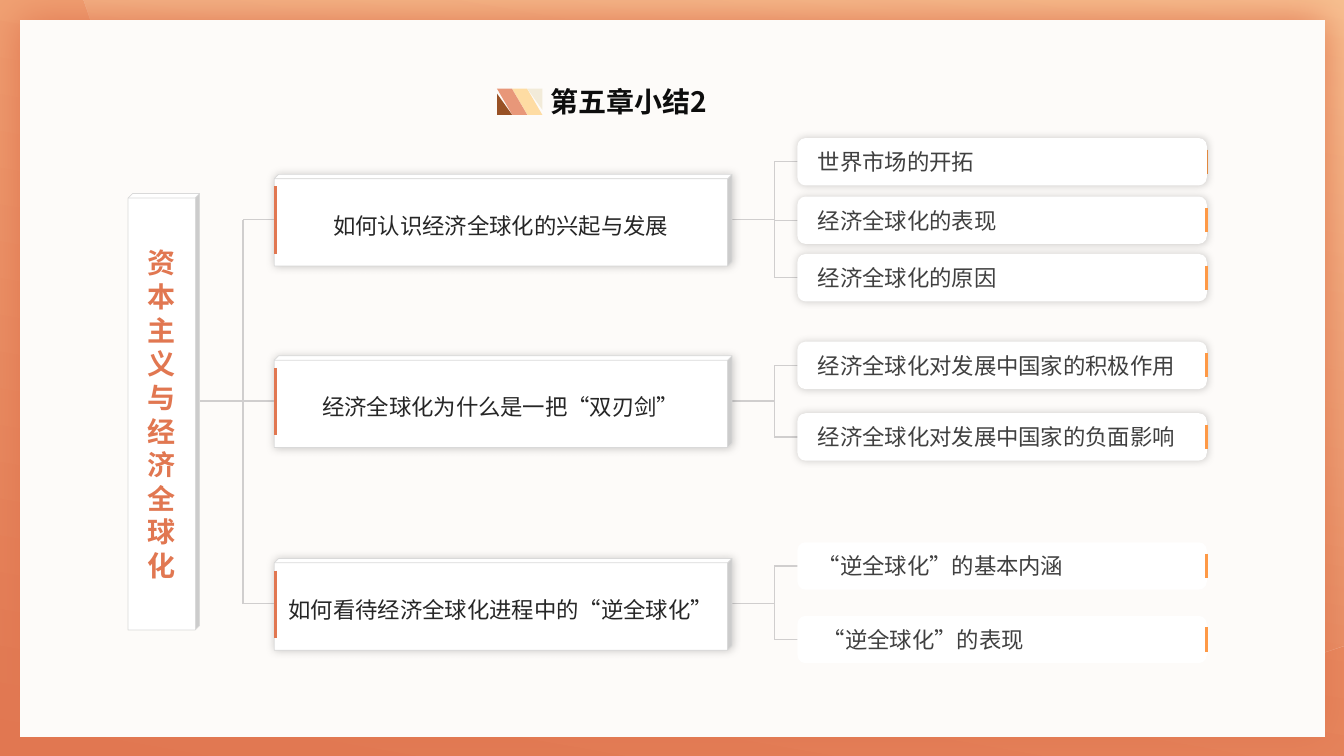
from lxml import etree
from pptx import Presentation
from pptx.dml.color import RGBColor
from pptx.enum.lang import MSO_LANGUAGE_ID as Lang
from pptx.enum.shapes import MSO_CONNECTOR as Conn, MSO_SHAPE as Geo
from pptx.enum.text import MSO_ANCHOR as Anchor, MSO_AUTO_SIZE as Fit, PP_ALIGN as Align
from pptx.oxml.ns import qn
from pptx.util import Inches, Pt

FONT = "Noto Sans CJK SC"
CORAL = RGBColor(0xE1, 0x77, 0x51)
PEACH = RGBColor(0xF4, 0xAD, 0x7D)
SAND = RGBColor(0xFD, 0xD5, 0xA6)
PAPER = RGBColor(0xFD, 0xFB, 0xF9)
WHITE = RGBColor(0xFF, 0xFF, 0xFF)
BLACK = RGBColor(0, 0, 0)
INK = RGBColor(0x0D, 0x0D, 0x0D)
DARK = RGBColor(0x26, 0x26, 0x26)
GREY = RGBColor(0x40, 0x40, 0x40)
EDGE = RGBColor(0xD9, 0xD9, 0xD9)
RULE = RGBColor(0xD0, 0xCE, 0xCE)
ORANGE = RGBColor(0xFE, 0x99, 0x46)
CREAM = RGBColor(0xF2, 0xEB, 0xD9)
YELLOW = RGBColor(0xFE, 0xDC, 0xA3)
SALMON = RGBColor(0xE8, 0x97, 0x79)
BROWN = RGBColor(0x98, 0x51, 0x25)

# All lengths are in grid cells, ten columns or rows to the inch
COLS, ROWS = 133.3, 75
SPINE_X, TREE_X, CUBE_X, CUBE_W, CUBE_H = 24.1, 76.8, 27.2, 45.4, 9.1
LEAF_X, LEAF_W, LEAF_H = 79.1, 40.6, 4.7

# Each branch: cube row, text, leaves as (row, text, options)
BRANCHES = [
    (17.3, "如何认识经济全球化的兴起与发展", [
        (13.7, "世界市场的开拓", {"tick_behind": True}),
        (19.5, "经济全球化的表现", {}),
        (25.2, "经济全球化的原因", {})]),
    (35.3, "经济全球化为什么是一把“双刃剑”", [
        (33.9, "经济全球化对发展中国家的积极作用", {}),
        (41, "经济全球化对发展中国家的负面影响", {})]),
    (55.4, "如何看待经济全球化进程中的“逆全球化”", [
        (53.8, "“逆全球化”的基本内涵", {"shadow": False}),
        (61.1, "“逆全球化”的表现", {"shadow": False, "indent": 1.3})]),
]


def cell(n):
    return int(n * Inches(0.1))


def cubic(p0, p1, p2, p3, steps=24):
    """Points along a cubic curve, without its start."""
    for i in range(1, steps + 1):
        t = i / steps
        w = ((1 - t) ** 3, 3 * t * (1 - t) ** 2, 3 * t * t * (1 - t), t ** 3)
        yield tuple(sum(k * p[axis] for k, p in zip(w, (p0, p1, p2, p3))) for axis in (0, 1))


class Board:
    """Holds the current slide and draws in its style."""

    def __init__(self, slide):
        self.slide, self.shapes = slide, slide.shapes

    def shape(self, geo, x, y, w, h, fill, line=None, adj=None, flip=False, rotation=0):
        sp = self.shapes.add_shape(geo, *map(cell, (x, y, w, h)))
        sp.shadow.inherit = False
        sp.fill.solid()
        sp.fill.fore_color.rgb = fill
        sp.rotation = rotation
        if adj:
            sp.adjustments[0] = adj
        if flip:
            sp._element.spPr.find(qn("a:xfrm")).set("flipH", "1")
        if line:
            sp.line.color.rgb, sp.line.width = line, Pt(0.5)
        else:
            sp.line.fill.background()
        return sp

    def gradient(self, sp, start, end, end_alpha=100):
        sp.shadow.inherit = False
        sp.line.fill.background()
        sp.fill.gradient()
        sp.fill.gradient_angle = 80
        for stop, color in zip(sp.fill.gradient_stops, (start, end)):
            stop.color.rgb = color
        last = list(sp._element.spPr.iter(qn("a:srgbClr")))[-1]
        etree.SubElement(last, qn("a:alpha")).set("val", str(end_alpha * 1000))

    def glow(self, sp, color=BLACK, alpha=20, blur=6):
        effects = sp._element.spPr.find(qn("a:effectLst"))
        shadow = etree.SubElement(effects, qn("a:outerShdw"), blurRad=str(Pt(blur)),
                                  dist="0", algn="ctr", rotWithShape="0")
        clr = etree.SubElement(shadow, qn("a:srgbClr"), val=str(color))
        etree.SubElement(clr, qn("a:alpha"), val=str(alpha * 1000))

    def line(self, x1, y1, x2, y2, color=RULE, width=1):
        ln = self.shapes.add_connector(Conn.STRAIGHT, *map(cell, (x1, y1, x2, y2)))
        ln.line.color.rgb, ln.line.width = color, Pt(width)
        etree.SubElement(ln._element.spPr, qn("a:effectLst"))

    def text(self, sp, lines, size, color, bold=False, indent=0, **para):
        tf = sp.text_frame
        tf.word_wrap = True
        for i, line in enumerate(lines):
            p = tf.paragraphs[0] if i == 0 else tf.add_paragraph()
            for name, value in {"alignment": Align.LEFT, "space_before": Pt(0), **para}.items():
                setattr(p, name, value)
            if indent:
                p._p.get_or_add_pPr().set("marL", str(cell(indent)))
            r = p.add_run()
            r.text = line
            fmt = {"name": FONT, "size": Pt(size), "bold": bold,
                   "language_id": Lang.SIMPLIFIED_CHINESE}
            for name, value in fmt.items():
                setattr(r.font, name, value)
            r.font.color.rgb = color
            etree.SubElement(r._r.get_or_add_rPr(), qn("a:ea"), typeface=FONT)

    def title(self, text, x, y, w, h):
        sp = self.shapes.title
        sp.left, sp.top, sp.width, sp.height = map(cell, (x, y, w, h))
        sp.text_frame.auto_size = Fit.NONE
        sp.text_frame.vertical_anchor = Anchor.TOP
        self.text(sp, [text], 20, INK, bold=True, line_spacing=Pt(24))
        self.shapes._spTree.append(sp._element)  # bring in front of the backdrop

    def backdrop(self):
        self.gradient(self.shape(Geo.RECTANGLE, 0, 0, COLS, ROWS, CORAL), CORAL, PEACH)
        arc = [(131.5, 64.6), *cubic((131.5, 64.6), (122.2, 67.5), (112.4, 69), (102.2, 69)),
               *cubic((102.2, 69), (59.7, 69), (23.6, 42.1), (9.8, 4.4))]
        pen = self.shapes.build_freeform(cell(8.3), 0)
        pen.add_line_segments([(cell(x), cell(y)) for x, y in [(COLS, 0), (COLS, 64), *arc]])
        self.gradient(pen.convert_to_shape(), CORAL, SAND, 50)
        self.glow(self.shape(Geo.RECTANGLE, 2, 2, 129.4, 71.1, PAPER), CORAL, 100, 30)

    def emblem(self, x, y):
        half = {"w": 3, "h": 2.6, "adj": 0.585, "flip": True}
        self.shape(Geo.PARALLELOGRAM, x + 1.5, y, fill=YELLOW, **half)
        self.shape(Geo.RIGHT_TRIANGLE, x + 3, y, 1.5, 2.1, CREAM, rotation=180)
        self.shape(Geo.PARALLELOGRAM, x, y, fill=SALMON, **half)
        self.shape(Geo.RIGHT_TRIANGLE, x, y + 0.5, 1.5, 2.1, BROWN)

    def leaf(self, y, text, tick_behind=False, shadow=True, indent=0.8):
        def tick():
            right = LEAF_X + LEAF_W
            self.line(right, y + 1.15, right, y + LEAF_H - 1.15, ORANGE, 2)

        if tick_behind:
            tick()
        sp = self.shape(Geo.ROUNDED_RECTANGLE, LEAF_X, y, LEAF_W, LEAF_H, WHITE)
        if shadow:
            self.glow(sp)
        self.text(sp, [text], 16, GREY, indent=indent)
        if not tick_behind:
            tick()

    def branch(self, y, text, leaves):
        mid = y + 4.5
        rows = [row + LEAF_H / 2 for row, *_ in leaves]
        # Connectors
        self.line(SPINE_X, mid, CUBE_X, mid)
        self.line(60, mid, TREE_X, mid)
        self.line(TREE_X, rows[0], TREE_X, rows[-1])
        for row in rows:
            self.line(TREE_X, row, 79.9, row)
        # Leaves and cube
        for row, label, options in leaves:
            self.leaf(row, label, **options)
        sp = self.shape(Geo.CUBE, CUBE_X, y, CUBE_W, CUBE_H, WHITE, EDGE, 0.048)
        self.glow(sp)
        self.text(sp, [text], 16, DARK, alignment=Align.CENTER, line_spacing=1.2)
        self.line(CUBE_X + 0.1, y + 1.2, CUBE_X + 0.1, y + 7.9, CORAL, 2)

    def root(self, lines, x, y, w, h):
        sp = self.shape(Geo.CUBE, x, y, w, h, WHITE, EDGE, 0.063)
        self.text(sp, lines, 20, CORAL, bold=True, alignment=Align.CENTER, line_spacing=Pt(24))


def main():
    prs = Presentation()
    prs.slide_width, prs.slide_height = cell(COLS), cell(ROWS)
    board = Board(prs.slides.add_slide(prs.slide_layouts[5]))
    board.backdrop()
    # Heading
    board.title("第五章小结2", 53.6, 7.9, 21.1, 7.7)
    board.emblem(49.3, 8.8)
    # Mind map
    board.line(SPINE_X, BRANCHES[0][0] + 4.5, SPINE_X, BRANCHES[-1][0] + 4.5)
    board.line(19.8, 39.8, SPINE_X, 39.8)
    for branch in BRANCHES:
        board.branch(*branch)
    board.root(["资本主义", "与经济全球化"], 12.7, 19.2, 7.1, 43.3)
    prs.save("out.pptx")


if __name__ == "__main__":
    main()
